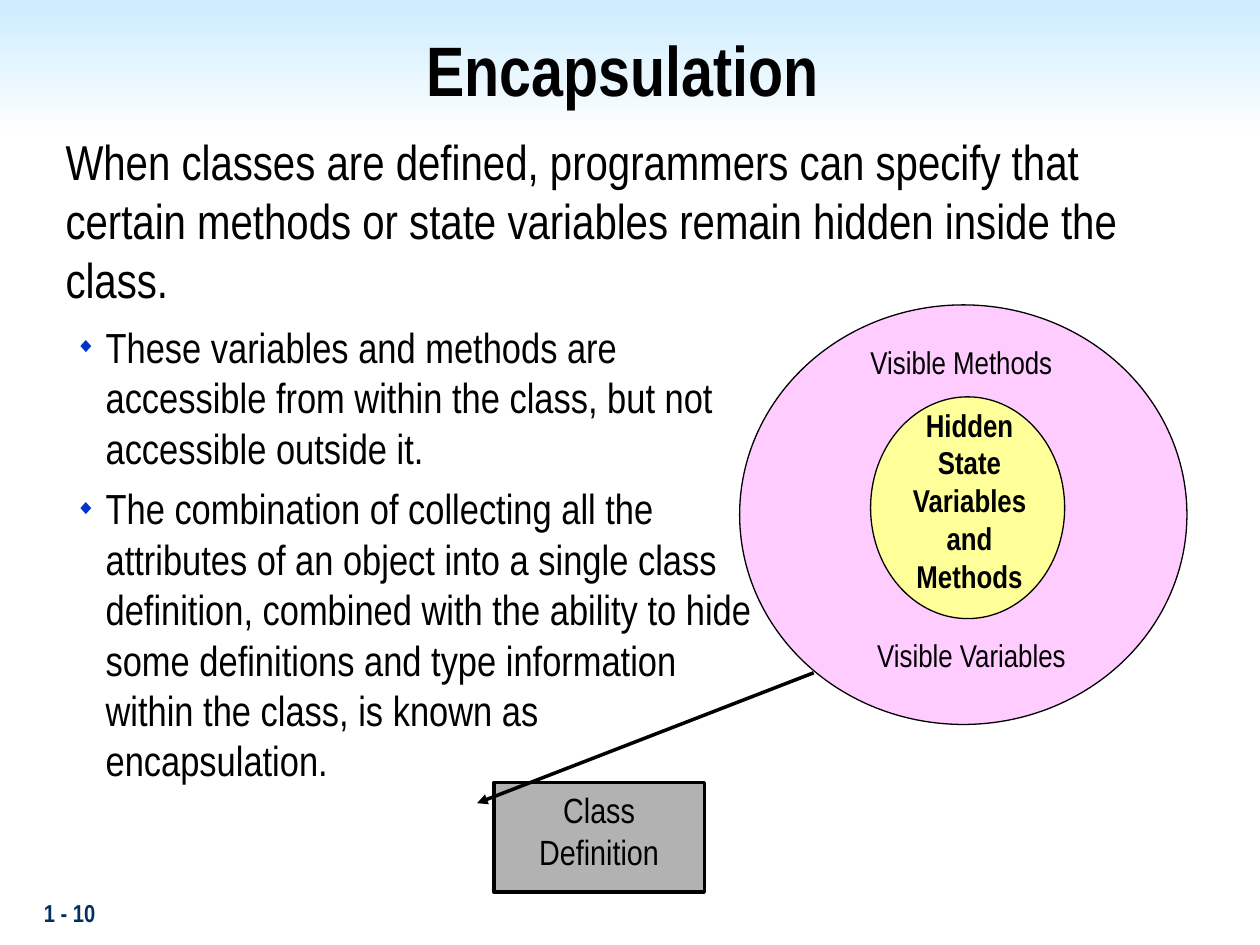
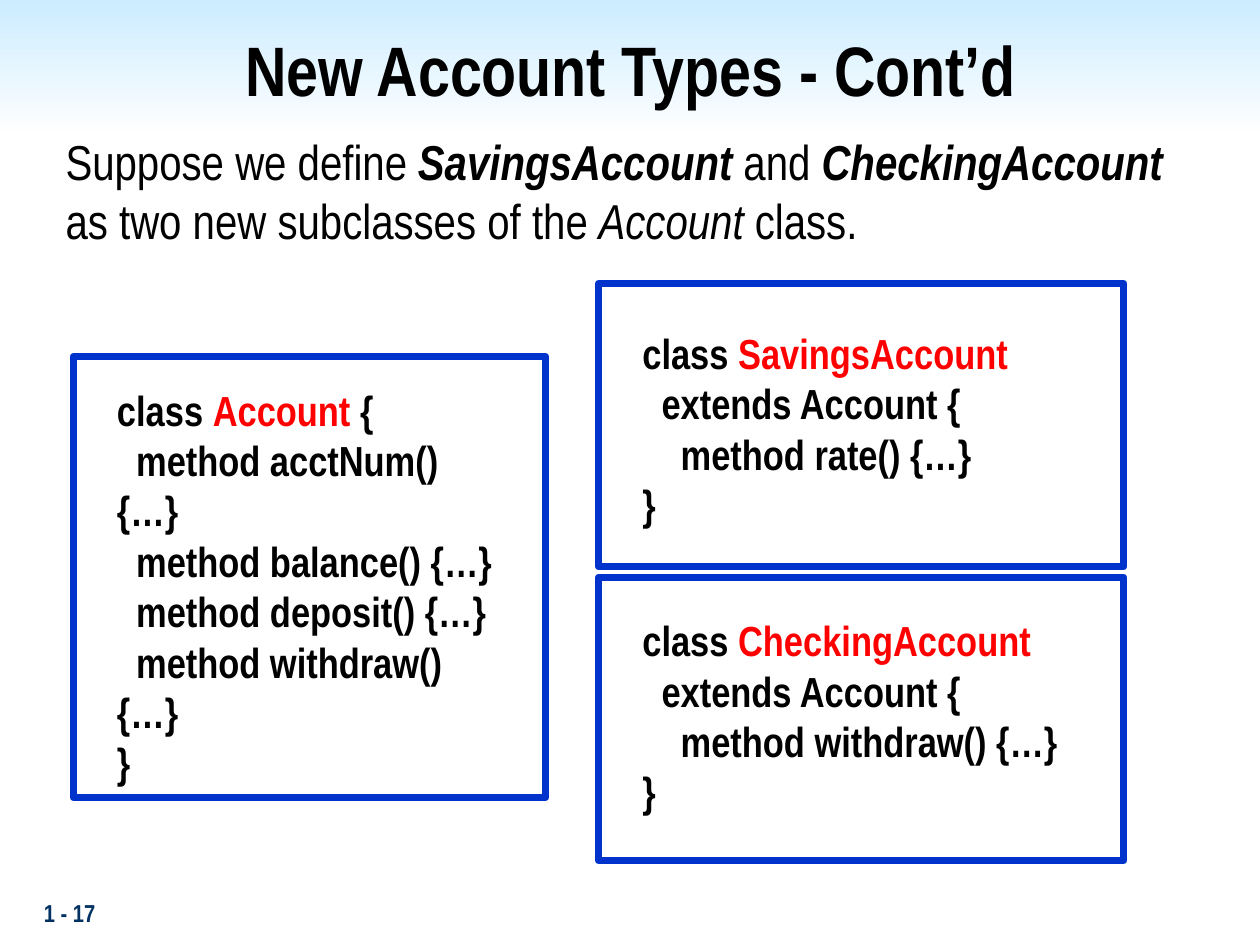
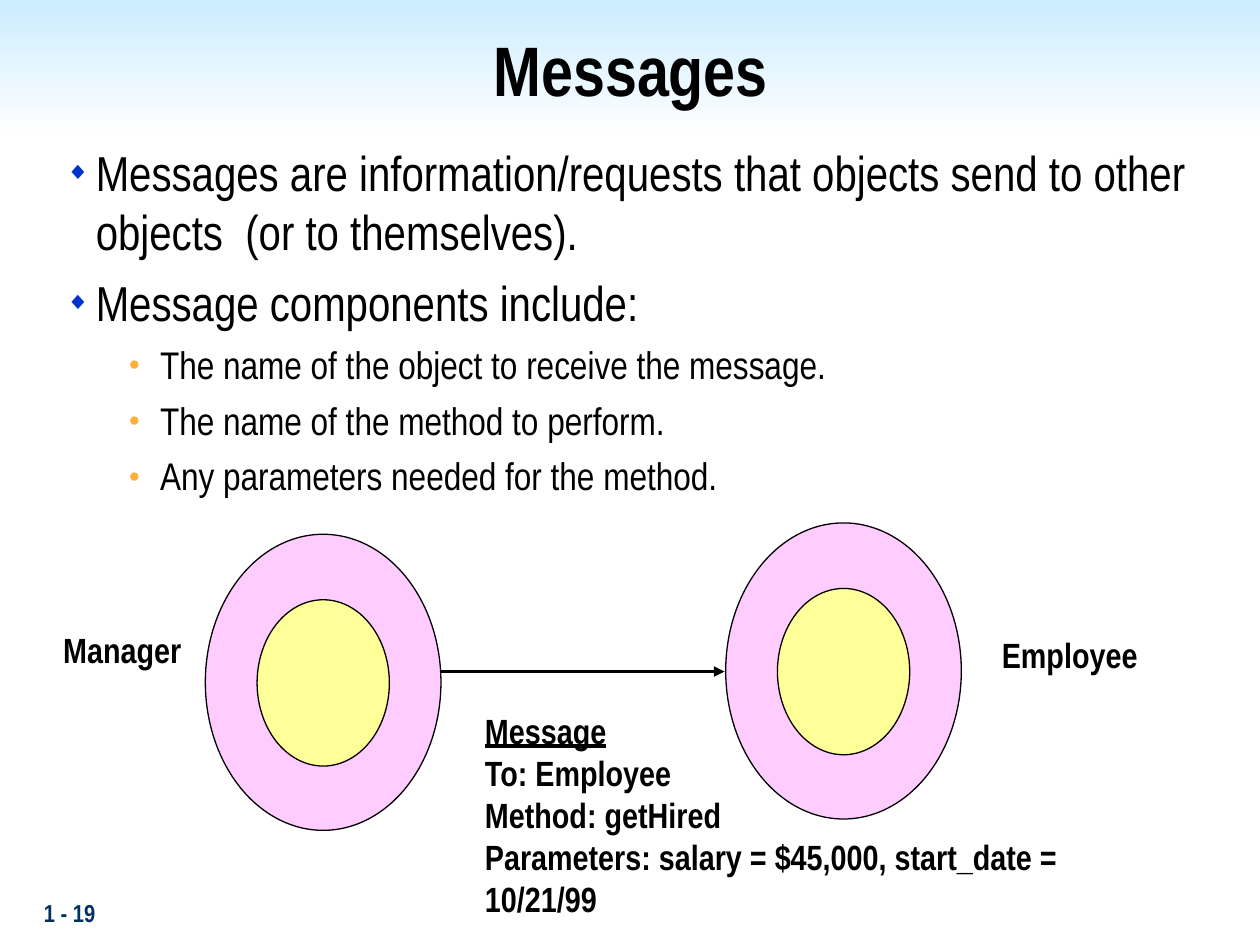
from lxml.etree import SubElement
from pptx import Presentation
from pptx.dml.color import RGBColor
from pptx.enum.shapes import MSO_CONNECTOR, MSO_SHAPE
from pptx.enum.text import MSO_ANCHOR, MSO_AUTO_SIZE, PP_ALIGN
from pptx.oxml.ns import qn
from pptx.util import Inches, Pt

FONT = "Arial Narrow"
COLORS = {
    "ink": "000000",
    "sky": "CCECFF",
    "white": "FFFFFF",
    "page": "003162",
    "blue": "0033CC",
    "orange": "FFAF39",
    "pink": "FFCCFF",
    "yellow": "FFFF99",
    "gray": "B2B2B2",
    "red": "FF0000",
}
BULLETS = {0: ("◆", "blue", 0.24, 0.24), 1: ("●", "orange", 0.75, 0.25)}


def rgb(name):
    return RGBColor.from_string(COLORS[name])


def place(shape, left, top, width, height):
    shape.left, shape.top = Inches(left), Inches(top)
    shape.width, shape.height = Inches(width), Inches(height)


def style_run(run, size, color="ink", bold=False, italic=False, underline=False):
    font = run.font
    font.name, font.size = FONT, Pt(size)
    font.bold, font.italic, font.underline = bold, italic, underline
    font.color.rgb = rgb(color)


def write(paragraph, pieces, size, bold=False):
    for text, style in pieces:
        for number, line in enumerate(text.split("\n")):
            if number:
                paragraph.add_line_break()
            if line:
                run = paragraph.add_run()
                run.text = line
                style_run(run, size, **{"bold": bold, **style})


def set_indent(paragraph, margin, hanging):
    properties = paragraph._p.get_or_add_pPr()
    properties.set("marL", str(Inches(margin)))
    properties.set("indent", str(-Inches(hanging)))
    return properties


def add_bullet(paragraph, level=0):
    mark, color, margin, hanging = BULLETS[level]
    properties = set_indent(paragraph, margin, hanging)
    bullet_color = SubElement(properties, qn("a:buClr"))
    SubElement(bullet_color, qn("a:srgbClr"), val=COLORS[color])
    SubElement(properties, qn("a:buSzPct"), val="50000")
    SubElement(properties, qn("a:buFont"), typeface="Arial")
    SubElement(properties, qn("a:buChar"), char=mark)


def fill_list(frame, items):
    for number, (text, level, size) in enumerate(items):
        paragraph = frame.paragraphs[0] if number == 0 else frame.add_paragraph()
        paragraph.text = text
        paragraph.level = level
        paragraph.space_before = Pt(size / 4)
        add_bullet(paragraph, level)
        style_run(paragraph.runs[0], size)


def fill_intro(frame, lines):
    for number, pieces in enumerate(lines):
        paragraph = frame.paragraphs[0] if number == 0 else frame.add_paragraph()
        paragraph.line_spacing = 0.8
        paragraph.space_before = Pt(7)
        SubElement(set_indent(paragraph, 0.24, 0.24), qn("a:buNone"))
        write(paragraph, pieces, 28)


def add_text(slide, box, pieces, size, bold=False, align=PP_ALIGN.LEFT):
    label = slide.shapes.add_textbox(*map(Inches, box))
    frame = label.text_frame
    frame.word_wrap = True
    paragraph = frame.paragraphs[0]
    paragraph.alignment = align
    write(paragraph, pieces, size, bold)


def add_label(slide, box, text, size, bold=False):
    add_text(slide, box, [(text, {})], size, bold, PP_ALIGN.CENTER)


def add_outlined(slide, kind, box, fill=None, line="ink", weight=0.75):
    shape = slide.shapes.add_shape(kind, *map(Inches, box))
    shape.shadow.inherit = False
    if fill:
        shape.fill.solid()
        shape.fill.fore_color.rgb = rgb(fill)
    else:
        shape.fill.background()
    shape.line.color.rgb = rgb(line)
    shape.line.width = Pt(weight)
    return shape


def add_object(slide, shell, core):
    add_outlined(slide, MSO_SHAPE.OVAL, shell, "pink")
    add_outlined(slide, MSO_SHAPE.OVAL, core, "yellow")


def add_arrowhead(line, end):
    SubElement(line._get_or_add_ln(), qn(end), type="triangle")


def add_message_arrow(slide, start, end, y):
    arrow = slide.shapes.add_connector(
        MSO_CONNECTOR.STRAIGHT, Inches(start), Inches(y), Inches(end), Inches(y))
    arrow.line.color.rgb = rgb("ink")
    arrow.line.width = Pt(2)
    SubElement(arrow._element.spPr, qn("a:effectLst"))
    add_arrowhead(arrow, "a:tailEnd") if hasattr(arrow, "_get_or_add_ln") else SubElement(
        arrow.get_or_add_ln(), qn("a:tailEnd"), type="triangle")


def add_class_callout(slide):
    callout = add_outlined(
        slide, MSO_SHAPE.LINE_CALLOUT_1, (3.92, 6.21, 1.67, 0.87), "gray", weight=2)
    for number, value in enumerate((0.19, -0.08, -1.0, 1.52)):
        callout.adjustments[number] = value
    SubElement(callout.get_or_add_ln(), qn("a:headEnd"), type="triangle")
    frame = callout.text_frame
    frame.word_wrap = True
    frame.vertical_anchor = MSO_ANCHOR.TOP
    frame.text = "Class Definition"
    frame.paragraphs[0].alignment = PP_ALIGN.CENTER
    style_run(frame.paragraphs[0].runs[0], 20)


def add_code(slide, frame_box, text_box, name, rest):
    pieces = [("class ", {}), (name, {"color": "red"}), (rest, {})]
    add_text(slide, text_box, pieces, 24, bold=True)
    add_outlined(slide, MSO_SHAPE.RECTANGLE, frame_box, line="blue", weight=4)


def add_master_band(deck, slide):
    band = slide.shapes.add_shape(MSO_SHAPE.RECTANGLE, 0, 0, Inches(10), Inches(1.08))
    band.shadow.inherit = False
    band.line.fill.background()
    band.fill.gradient()
    band.fill.gradient_angle = 270
    for stop, color, position in zip(band.fill.gradient_stops, ("sky", "white"), (0, 1)):
        stop.color.rgb = rgb(color)
        stop.position = position
    deck.slide_master.shapes.element.insert(2, band._element)


def start_slide(deck, heading, page, body_height):
    slide = deck.slides.add_slide(deck.slide_layouts[1])
    title, body = slide.shapes.title, slide.placeholders[1]
    place(title, 0.17, 0.17, 9.67, 0.75)
    title.text_frame.text = heading
    title.text_frame.paragraphs[0].alignment = PP_ALIGN.CENTER
    style_run(title.text_frame.paragraphs[0].runs[0], 40, bold=True)
    place(body, 0.42, 1.08, 9.17, body_height)
    for placeholder in (title, body):
        placeholder.text_frame.auto_size = MSO_AUTO_SIZE.NONE
    add_text(slide, (0.25, 7.08, 2.08, 0.33), [(page, {"color": "page"})], 14, bold=True)
    return slide, body.text_frame


def build_encapsulation(deck):
    slide, intro = start_slide(deck, "Encapsulation ", "1 - 10", 1.42)
    add_master_band(deck, slide)
    fill_intro(intro, [
        [("When classes are defined, programmers can specify that", {})],
        [("certain methods or state variables remain hidden inside the", {})],
        [("class.", {})],
    ])
    details = slide.shapes.add_textbox(*map(Inches, (0.5, 2.5, 5.67, 4.39))).text_frame
    details.word_wrap = True
    fill_list(details, [
        ("These variables and methods are accessible from within the class, "
         "but not accessible outside it.", 0, 24),
        ("The combination of collecting all the attributes of an object into a single "
         "class definition, combined with the ability to hide some definitions and type "
         "information within the class, is known as encapsulation.", 0, 24),
    ])
    add_object(slide, (5.87, 2.42, 3.55, 3.33), (6.91, 3.15, 1.54, 1.76))
    add_label(slide, (7.08, 3.17, 1.23, 1.6), "Hidden State Variables and Methods", 18, True)
    add_label(slide, (6.67, 2.67, 1.92, 0.4), "Visible Methods", 18)
    add_label(slide, (6.75, 5, 1.92, 0.4), "Visible Variables", 18)
    add_class_callout(slide)


def build_account_types(deck):
    slide, intro = start_slide(deck, "New Account Types - Cont’d", "1 - 17", 1.18)
    strong = {"bold": True, "italic": True}
    fill_intro(intro, [
        [("Suppose we define ", {}), ("SavingsAccount", strong),
         (" and ", {}), ("CheckingAccount", strong)],
        [("as two new subclasses of the ", {}), ("Account", {"italic": True}),
         (" class.", {})],
    ])
    add_code(slide, (0.58, 2.83, 3.75, 3.5), (0.83, 3, 3.25, 3.3), "Account",
             " {\n  method acctNum() {…} \n  method balance() {…}\n"
             "  method deposit() {…}\n  method withdraw() {…}\n}")
    subclasses = [("SavingsAccount", "rate", 2.25, 2.55),
                  ("CheckingAccount", "withdraw", 4.58, 4.83)]
    for name, method, frame_top, text_top in subclasses:
        add_code(slide, (4.75, frame_top, 4.17, 2.25), (5, text_top, 3.67, 1.7), name,
                 f" \n  extends Account {{\n    method {method}() {{…}} \n}}")


def build_messages(deck):
    slide, points = start_slide(deck, "Messages", "1 - 19", 5.92)
    fill_list(points, [
        ("Messages are information/requests that objects send to other objects  "
         "(or to themselves).", 0, 28),
        ("Message components include:", 0, 28),
        ("The name of the object to receive the message.", 1, 22),
        ("The name of the method to perform.", 1, 22),
        ("Any parameters needed for the method.", 1, 22),
    ])
    for left, top in ((1.63, 4.24), (5.76, 4.15)):
        add_object(slide, (left, top, 1.87, 2.35), (left + 0.41, top + 0.52, 1.05, 1.32))
    add_label(slide, (0.21, 4.94, 1.52, 0.44), "Manager", 20, True)
    add_label(slide, (7.73, 4.98, 1.52, 0.44), "Employee", 20, True)
    add_message_arrow(slide, 3.5, 5.75, 5.33)
    add_text(slide, (3.75, 5.58, 5.69, 1.44), [
        ("Message", {"underline": True}),
        ("\nTo: Employee\nMethod: getHired\n"
         "Parameters: salary = $45,000, start_date = 10/21/99", {}),
    ], 20, bold=True)


def main():
    deck = Presentation()
    deck.slide_width, deck.slide_height = Inches(10), Inches(7.5)
    build_encapsulation(deck)
    build_account_types(deck)
    build_messages(deck)
    deck.save("out.pptx")


if __name__ == "__main__":
    main()
